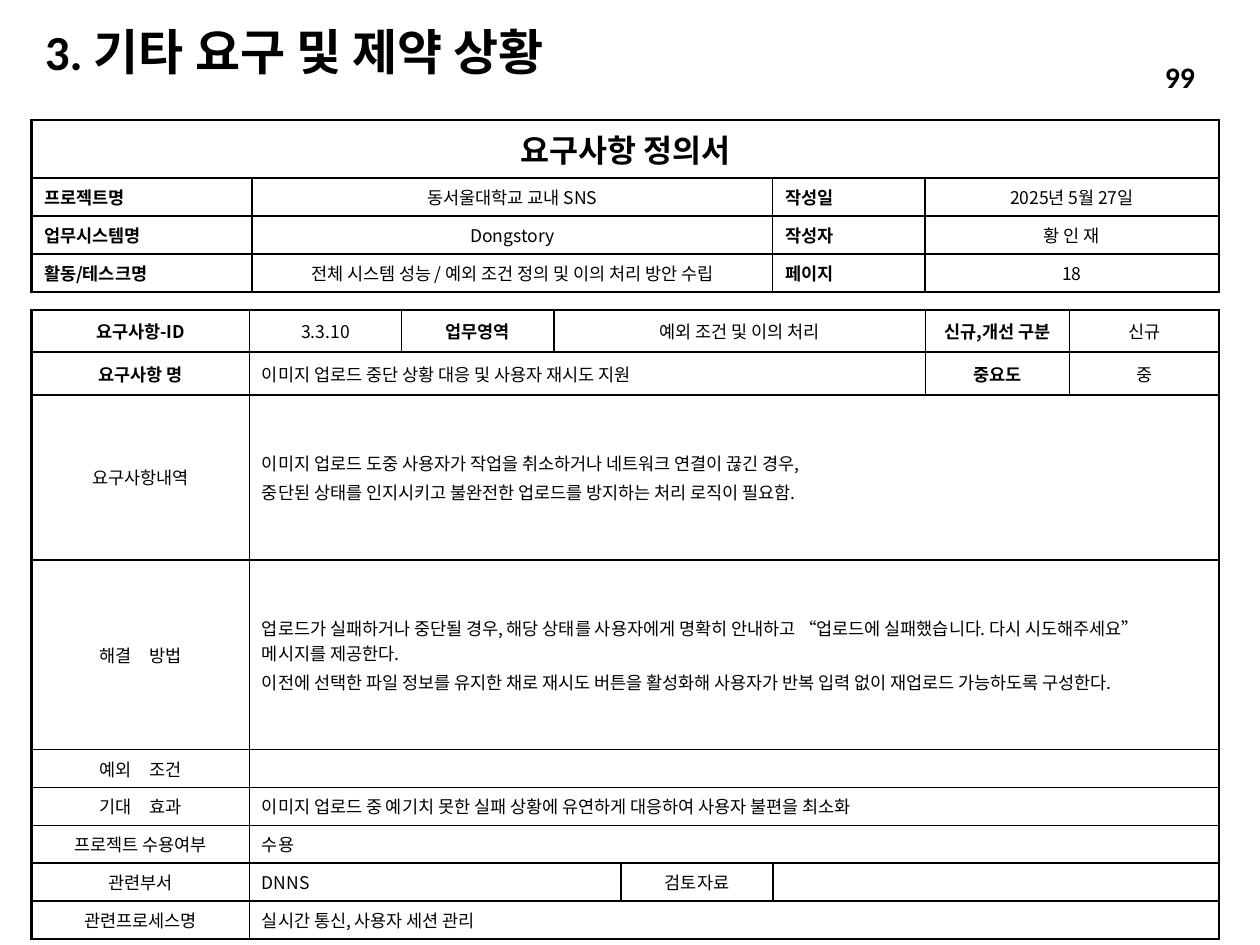
from lxml.etree import SubElement
from pptx import Presentation
from pptx.dml.color import RGBColor
from pptx.enum.text import MSO_ANCHOR as Anchor, PP_ALIGN as Align
from pptx.oxml.ns import qn
from pptx.util import Pt

COLORS = {"ink": "000000"}
TITLE_FONT, TABLE_FONT = "Calibri", "Noto Sans CJK KR"
THICK, THIN = 1.5, 1

STYLES = {
    "banner": {"size": 18, "bold": True, "align": Align.CENTER},
    "field": {"size": 10, "bold": True, "align": Align.JUSTIFY},
    "head": {"size": 10, "bold": True, "align": Align.CENTER},
    "mid": {"size": 10, "bold": False, "align": Align.CENTER},
    "body": {"size": 10, "bold": False, "align": Align.LEFT},
}

# Each cell: text, columns spanned, style
PROJECT_ROWS = [
    [("요구사항 정의서", 4, "banner")],
    [("프로젝트명", 1, "field"), ("동서울대학교 교내 SNS", 1, "mid"),
     ("작성일", 1, "field"), ("2025년 5월 27일", 1, "mid")],
    [("업무시스템명", 1, "field"), ("Dongstory", 1, "mid"),
     ("작성자", 1, "field"), ("황 인 재", 1, "mid")],
    [("활동/테스크명", 1, "field"),
     ("전체 시스템 성능 / 예외 조건 정의 및 이의 처리 방안 수립", 1, "mid"),
     ("페이지", 1, "field"), ("18", 1, "mid")],
]
REQUIREMENT_ROWS = [
    [("요구사항-ID", 1, "head"), ("3.3.10", 1, "mid"), ("업무영역", 1, "head"),
     ("예외 조건 및 이의 처리", 3, "mid"), ("신규,개선 구분", 1, "head"), ("신규", 1, "mid")],
    [("요구사항 명", 1, "head"), ("이미지 업로드 중단 상황 대응 및 사용자 재시도 지원", 5, "body"),
     ("중요도", 1, "head"), ("중", 1, "mid")],
    [("요구사항내역", 1, "mid"),
     ("이미지 업로드 도중 사용자가 작업을 취소하거나 네트워크 연결이 끊긴 경우,\n"
      "중단된 상태를 인지시키고 불완전한 업로드를 방지하는 처리 로직이 필요함.", 7, "body")],
    [("해결　방법", 1, "mid"),
     ("업로드가 실패하거나 중단될 경우, 해당 상태를 사용자에게 명확히 안내하고 "
      "“업로드에 실패했습니다. 다시 시도해주세요” 메시지를 제공한다.\n"
      "이전에 선택한 파일 정보를 유지한 채로 재시도 버튼을 활성화해 "
      "사용자가 반복 입력 없이 재업로드 가능하도록 구성한다.", 7, "body")],
    [("예외　조건", 1, "mid"), ("", 7, "body")],
    [("기대　효과", 1, "mid"),
     ("이미지 업로드 중 예기치 못한 실패 상황에 유연하게 대응하여 사용자 불편을 최소화", 7, "body")],
    [("프로젝트 수용여부", 1, "mid"), ("수용", 7, "body")],
    [("관련부서", 1, "mid"), ("DNNS", 3, "body"), ("검토자료", 1, "mid"), ("", 3, "body")],
    [("관련프로세스명", 1, "mid"), ("실시간 통신, 사용자 세션 관리", 7, "body")],
]


def write_span(para, text, font, size, bold):
    span = para.add_run()
    span.text = text
    for name, value in {"name": font, "size": Pt(size), "bold": bold}.items():
        setattr(span.font, name, value)
    span.font.color.rgb = RGBColor.from_string(COLORS["ink"])
    SubElement(span.font._element, qn("a:ea"), typeface=TABLE_FONT)


def fill_cell(cell, text, style):
    cell.vertical_anchor = Anchor.MIDDLE
    frame = cell.text_frame
    for index, line in enumerate(text.split("\n")):
        para = frame.add_paragraph() if index else frame.paragraphs[0]
        para.alignment = style["align"]
        para.space_before = Pt(2 if index else 0)
        if line:
            write_span(para, line, TABLE_FONT, style["size"], style["bold"])
        else:
            SubElement(para._p, qn("a:endParaRPr"), sz=str(style["size"] * 100))


def draw_borders(cell, widths):
    """Draw the left, right, top and bottom edges, then leave the cell unfilled."""
    properties = cell._tc.get_or_add_tcPr()
    for side, width in zip("LRTB", widths):
        line = SubElement(properties, qn(f"a:ln{side}"), w=str(Pt(width)))
        fill = SubElement(line, qn("a:solidFill"))
        SubElement(fill, qn("a:srgbClr"), val=COLORS["ink"])
    cell.fill.background()


def add_form(page, box, widths, heights, rows, thick_rules):
    """Add a bordered form; thick_rules are the row edges drawn thick."""
    table = page.shapes.add_table(len(heights), len(widths), *map(Pt, box)).table
    table.first_row = table.horz_banding = False
    for column, width in zip(table.columns, widths):
        column.width = Pt(width)
    for row, height in zip(table.rows, heights):
        row.height = Pt(height)
    for row, entries in enumerate(rows):
        start = 0
        for text, columns, style in entries:
            end = start + columns
            cell = table.cell(row, start)
            if columns > 1:
                cell.merge(table.cell(row, end - 1))
            fill_cell(cell, text, STYLES[style])
            sides = [THICK if edge in (0, len(widths)) else THIN for edge in (start, end)]
            rules = [THICK if edge in thick_rules else THIN for edge in (row, row + 1)]
            draw_borders(cell, sides + rules)
            start = end


def place_text(shape, box, text, size, align):
    for name, value in zip(("left", "top", "width", "height"), box):
        setattr(shape, name, Pt(value))
    frame = shape.text_frame
    frame.word_wrap = True
    frame.vertical_anchor = Anchor.MIDDLE
    para = frame.paragraphs[0]
    para.alignment = align
    write_span(para, text, TITLE_FONT, size, True)
    return para


def add_heading(page, box):
    para = place_text(page.shapes.title, box, "3. 기타 요구 및 제약 상황", 28, Align.LEFT)
    para.line_spacing = 0.9


def add_page_number(page, box):
    place_text(page.shapes.add_textbox(*map(Pt, box)), box, "99", 17, Align.RIGHT)


def main():
    deck = Presentation()
    deck.slide_width, deck.slide_height = Pt(720), Pt(540)
    page = deck.slides.add_slide(deck.slide_layouts[5])
    add_heading(page, (18.5, 15, 386, 32))
    add_form(page, (18, 177, 678, 355),
             [124.5, 87, 87, 38.3, 87, 87, 82.5, 85.5],
             [24.3, 24.3, 94.3, 108.5] + [19.5] * 5,
             REQUIREMENT_ROWS, thick_rules=(0, 1, 2, 9))
    add_form(page, (18, 68.5, 678, 92), [126, 297.5, 87, 168],
             [33.3] + [19.5] * 3, PROJECT_ROWS, thick_rules=(0, 4))
    add_page_number(page, (573, 29.5, 117, 29))
    deck.save("out.pptx")


if __name__ == "__main__":
    main()
